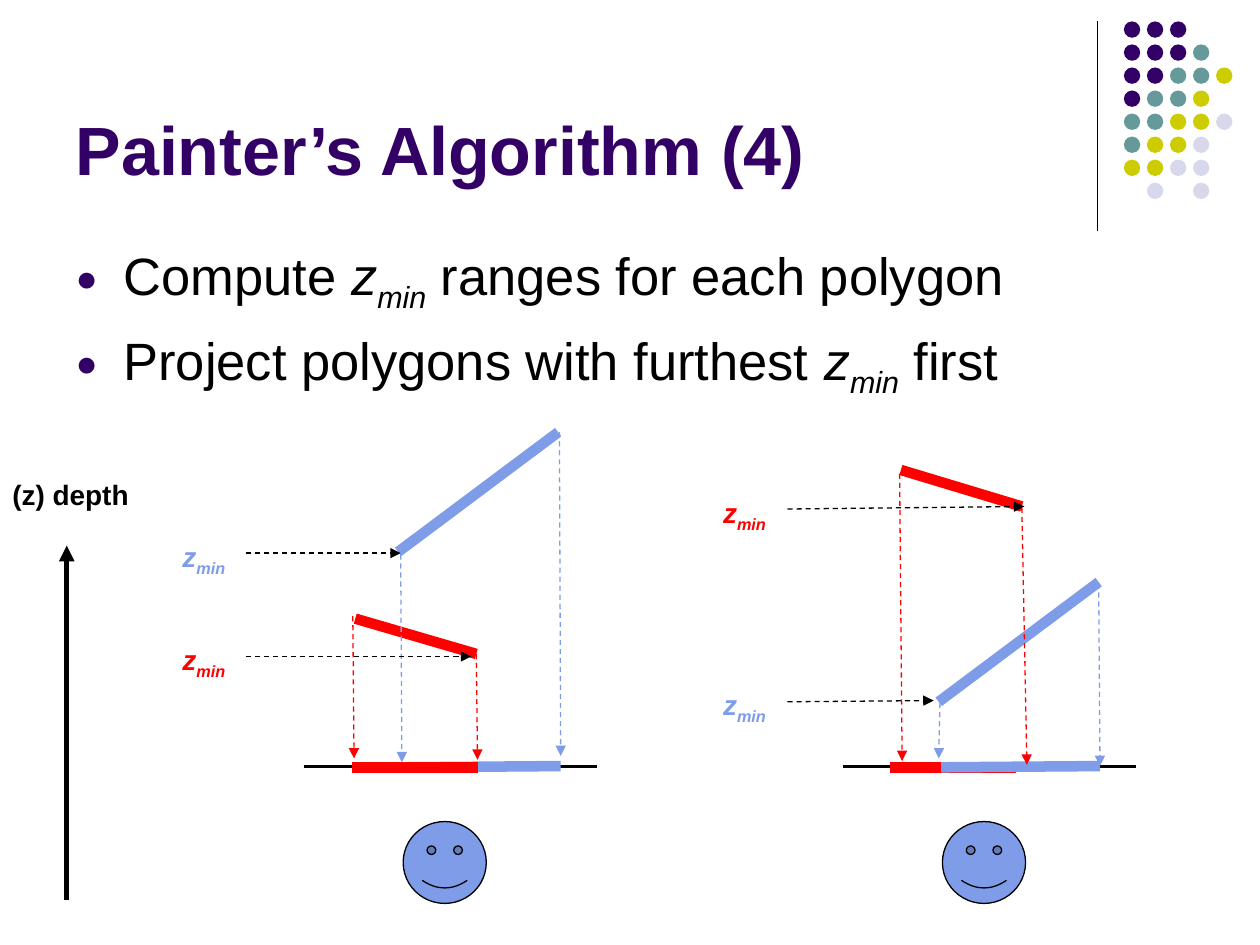
"""Build the slide on depth ordering in the painter's algorithm."""
import pptx
import pptx.dml.color
import pptx.enum.dml
import pptx.enum.shapes
import pptx.enum.text
import pptx.oxml
import pptx.oxml.ns
import pptx.util

Inches = pptx.util.Inches
Pt = pptx.util.Pt
RGBColor = pptx.dml.color.RGBColor
MSO_SHAPE = pptx.enum.shapes.MSO_SHAPE
MSO_ANCHOR = pptx.enum.text.MSO_ANCHOR

BLACK = RGBColor(0x00, 0x00, 0x00)
PURPLE = RGBColor(0x33, 0x00, 0x66)
TEAL = RGBColor(0x66, 0x99, 0x99)
OLIVE = RGBColor(0xCC, 0xCC, 0x00)
LILAC = RGBColor(0xD8, 0xD8, 0xEC)
BLUE = RGBColor(0x7E, 0x9C, 0xE8)
RED = RGBColor(0xFF, 0x00, 0x00)

DOT_COLOURS = {"P": PURPLE, "T": TEAL, "O": OLIVE, "L": LILAC}
DOT_ROWS = ["PPP", "PPPT", "PPTTO", "PTTO", "TTOOL", "TOOL", "OOLL", " L L"]
DOT_PITCH = 1.28 / 7

BULLETS = [
    [("Compute ", ""), ("z", "i"), ("min", "sub"), (" ranges for each polygon", "")],
    [("Project polygons with furthest ", ""), ("z", "i"), ("min", "sub"), (" first", "")],
]
Z_MIN = [("z", "i"), ("min", "sub")]

LEFT_SCENE = {
    "shift": 0,
    "shadows": [(BLUE, (3.19, 6.09), (4.45, 6.08)), (RED, (2.79, 6.09), (3.79, 6.09))],
    "polygons": [(BLUE, (3.16, 4.38), (4.43, 3.43)), (RED, (2.82, 4.91), (3.78, 5.19))],
    "drops": [
        (BLUE, (3.18, 4.4), (3.19, 6.05)), (BLUE, (4.44, 3.43), (4.45, 6)),
        (RED, (2.8, 4.89), (2.81, 6.02)), (RED, (3.78, 5.19), (3.79, 6.03)),
    ],
    "depths": [
        (RED, (1.35, 5.05), (1.95, 5.21), (3.74, 5.21)),
        (BLUE, (1.35, 4.23), (1.95, 4.39), (3.18, 4.39)),
    ],
}
RIGHT_SCENE = {
    "shift": 4.28,
    "shadows": [(RED, (7.06, 6.09), (8.06, 6.09)), (BLUE, (7.47, 6.09), (8.73, 6.08))],
    "polygons": [(BLUE, (7.45, 5.57), (8.72, 4.62)), (RED, (7.15, 3.73), (8.11, 4.02))],
    "drops": [
        (BLUE, (7.46, 5.58), (7.45, 6.02)), (BLUE, (8.72, 4.63), (8.73, 6.08)),
        (RED, (7.14, 3.76), (7.16, 6.04)), (RED, (8.11, 4.03), (8.15, 6.07)),
    ],
    "depths": [
        (RED, (5.64, 3.88), (6.25, 4.04), (8.13, 4.02)),
        (BLUE, (5.64, 5.41), (6.25, 5.57), (7.41, 5.56)),
    ],
}


def add_child(parent, tag, **attributes):
    """Append a DrawingML element to its parent."""
    child = pptx.oxml.parse_xml(f"<a:{tag} {pptx.oxml.ns.nsdecls('a')}/>")
    for name, value in attributes.items():
        child.set(name, value)
    parent.append(child)
    return child


def add_runs(p, runs, size, colour, bold=False):
    """Add styled runs to a paragraph, with italics and subscripts."""
    for text, style in runs:
        r = p.add_run()
        r.text = text
        r.font.name = "Arial"
        r.font.size = Pt(size)
        r.font.bold = bold
        r.font.italic = style != ""
        r.font.color.rgb = colour
        if style == "sub":
            r._r.get_or_add_rPr().set("baseline", "-25000")


def add_line(shapes, start, end, colour, width=0.75, dash=False, arrow=False):
    """Draw a straight line, optionally dashed or with an arrowhead at its end."""
    line = shapes.add_connector(
        pptx.enum.shapes.MSO_CONNECTOR.STRAIGHT, *map(Inches, start + end))
    line.line.color.rgb = colour
    line.line.width = Pt(width)
    if dash:
        line.line.dash_style = pptx.enum.dml.MSO_LINE.DASH
    if arrow:
        add_child(line.line._get_or_add_ln(), "tailEnd", type="triangle")
    add_child(line._element.spPr, "effectLst")


def add_shape(shapes, kind, box, fill, outline=None):
    """Draw a filled preset shape."""
    sp = shapes.add_shape(kind, *map(Inches, box))
    sp.shadow.inherit = False
    sp.fill.solid()
    sp.fill.fore_color.rgb = fill
    if outline is None:
        sp.line.fill.background()
    else:
        sp.line.color.rgb = outline
        sp.line.width = Pt(0.75)


def add_label(shapes, box, runs, colour):
    """Add a bold label that does not wrap."""
    sp = shapes.add_textbox(*map(Inches, box))
    tf = sp.text_frame
    tf.word_wrap = False
    add_runs(tf.paragraphs[0], runs, 16, colour, bold=True)


def place(sp, box, anchor):
    """Move a placeholder and return its text frame."""
    sp.left, sp.top, sp.width, sp.height = map(Inches, box)
    tf = sp.text_frame
    tf.word_wrap = True
    tf.auto_size = pptx.enum.text.MSO_AUTO_SIZE.NONE
    tf.vertical_anchor = anchor
    return tf


def add_title(s):
    """Fill the title placeholder."""
    tf = place(s.shapes.title, (0.5, 0.13, 8.25, 1.42), MSO_ANCHOR.BOTTOM)
    p = tf.paragraphs[0]
    p.alignment = pptx.enum.text.PP_ALIGN.LEFT
    add_runs(p, [("Painter’s Algorithm (4)", "")], 39, PURPLE, bold=True)


def add_bullets(s):
    """Fill the body placeholder with the bullet list."""
    tf = place(s.placeholders[1], (0.5, 1.88, 9, 4.82), MSO_ANCHOR.TOP)
    for i, runs in enumerate(BULLETS):
        p = tf.paragraphs[0] if i == 0 else tf.add_paragraph()
        p.space_before = Pt(7.5 if i else 0)
        pPr = p._p.get_or_add_pPr()
        pPr.set("marL", str(Inches(0.38)))
        pPr.set("indent", str(-Inches(0.38)))
        add_child(add_child(pPr, "buClr"), "srgbClr", val=str(PURPLE))
        add_child(pPr, "buSzPct", val="70000")
        add_child(pPr, "buFont", typeface="Arial")
        add_child(pPr, "buChar", char="●")
        add_runs(p, runs, 30, BLACK)


def add_dots(s):
    """Draw the corner ornament of coloured dots beside a rule."""
    add_line(s.shapes, (8.71, 0.17), (8.71, 1.83), BLACK)
    shapes = s.shapes.add_group_shape().shapes
    for row, letters in enumerate(DOT_ROWS):
        for col, letter in enumerate(letters):
            if letter in DOT_COLOURS:
                box = (8.92 + col * DOT_PITCH, 0.17 + row * DOT_PITCH, 0.13, 0.13)
                add_shape(shapes, MSO_SHAPE.OVAL, box, DOT_COLOURS[letter])


def add_scene(s, scene):
    """Draw two polygons projected onto the ground above a viewer."""
    shapes = s.shapes.add_group_shape().shapes
    shift = scene["shift"]
    for y in (6.08, 6.09):
        add_line(shapes, (2.41 + shift, y), (4.74 + shift, y), BLACK)
    for colour, start, end in scene["shadows"] + scene["polygons"]:
        add_line(shapes, start, end, colour, width=6)
    add_shape(shapes, MSO_SHAPE.SMILEY_FACE, (3.2 + shift, 6.52, 0.66, 0.65), BLUE, BLACK)
    for colour, start, end in scene["drops"]:
        add_line(shapes, start, end, colour, dash=True, arrow=True)
    for colour, corner, start, end in scene["depths"]:
        add_label(shapes, corner + (0.54, 0.41), Z_MIN, colour)
        add_line(shapes, start, end, BLACK, dash=True, arrow=True)


def main():
    """Build and save the slide."""
    prs = pptx.Presentation()
    prs.slide_width, prs.slide_height = Inches(10), Inches(7.5)
    s = prs.slides.add_slide(prs.slide_layouts[1])
    add_dots(s)
    add_title(s)
    add_bullets(s)
    add_line(s.shapes, (0.53, 7.14), (0.53, 4.33), BLACK, width=3, arrow=True)
    add_label(s.shapes, (0, 3.74, 1.12, 0.37), [("(z) depth", "")], BLACK)
    for scene in (LEFT_SCENE, RIGHT_SCENE):
        add_scene(s, scene)
    prs.save("out.pptx")


if __name__ == "__main__":
    main()
